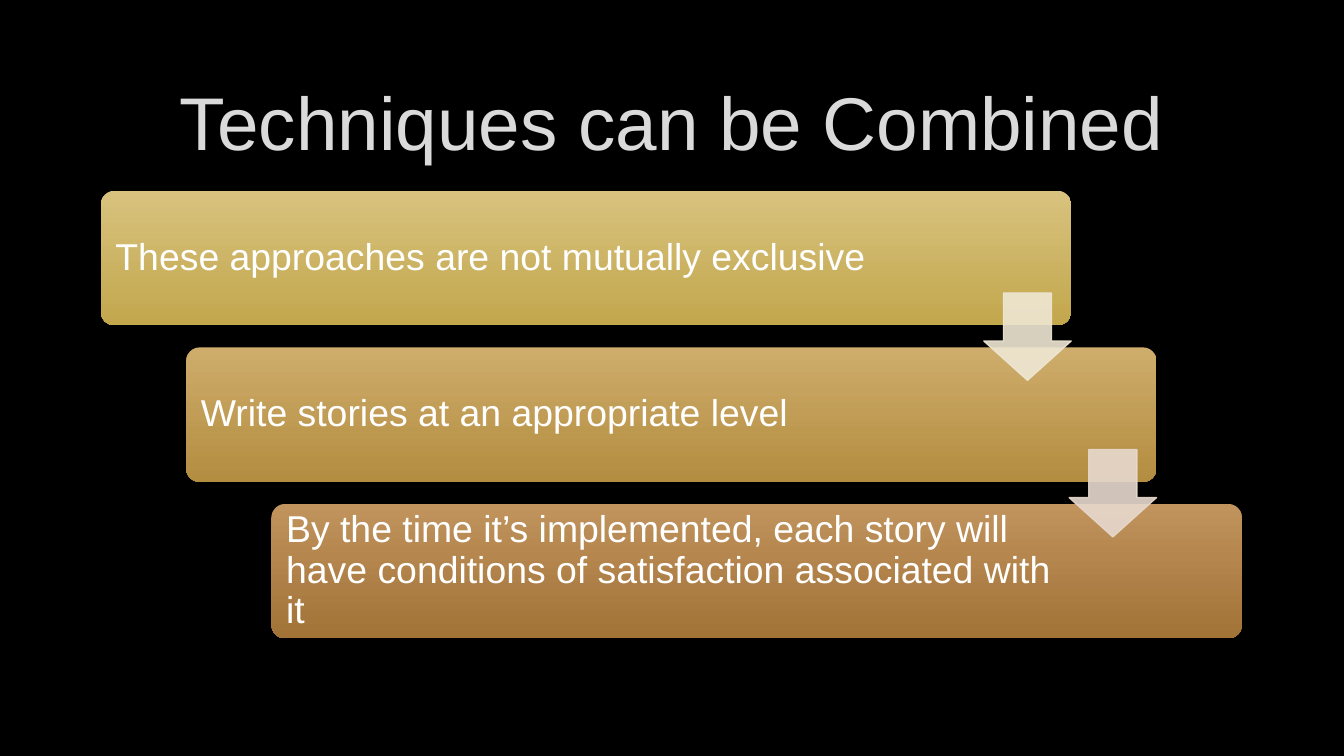
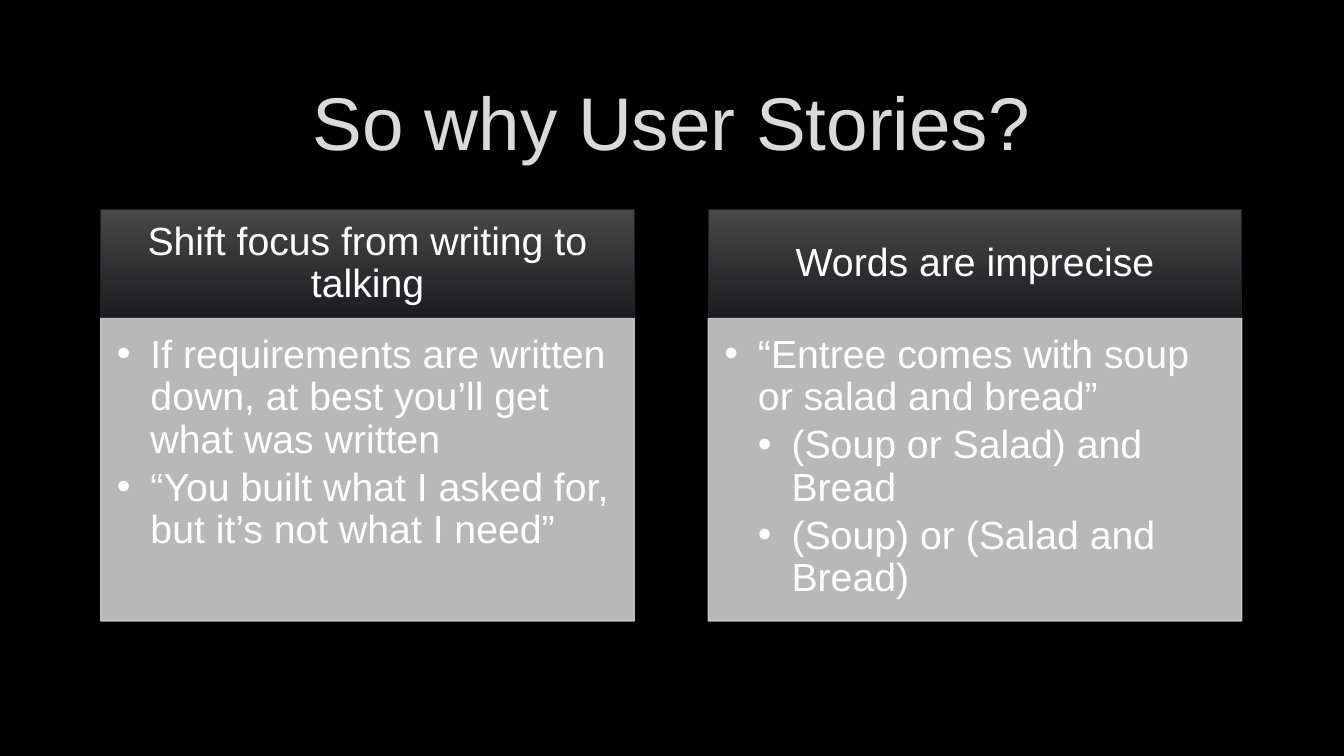
import pptx
import pptx.util
import pptx.dml.color
import pptx.enum.shapes
import pptx.enum.text
import pptx.oxml.ns
from lxml import etree

Inches = pptx.util.Inches
Pt = pptx.util.Pt
Shape = pptx.enum.shapes.MSO_SHAPE
Align = pptx.enum.text.PP_ALIGN
Anchor = pptx.enum.text.MSO_ANCHOR
qn = pptx.oxml.ns.qn

FONT = "Arial"
WHITE = "FFFFFF"
BLACK = "000000"
SILVER = "DADADA"
WIDTH = 10
HEIGHT = WIDTH * 9 / 16
TITLE = (0.75, 0.5, 8.49, 0.8)

STEPS = [
    ("These approaches are not mutually exclusive", ("D8C27E", "C2A74D")),
    ("Write stories at an appropriate level", ("CEAC6B", "B38D40")),
    ("By the time it’s implemented, each story will have conditions of "
     "satisfaction associated with it", ("C1935D", "A17337")),
]
ARROWS = ["EFE7D4", "E7D9CE"]

PANELS = [
    ("Shift focus from writing to talking", [
        (1, "If requirements are written down, at best you’ll get what was written"),
        (1, "“You built what I asked for, but it’s not what I need”"),
    ]),
    ("Words are imprecise", [
        (1, "“Entree comes with soup or salad and bread”"),
        (2, "(Soup or Salad) and Bread"),
        (2, "(Soup) or (Salad and Bread)"),
    ]),
]


def color(value):
    return pptx.dml.color.RGBColor.from_string(value)


def apply(target, values):
    for name, value in values.items():
        setattr(target, name, value)


def fade(fill, tone, alpha):
    fill.solid()
    fill.fore_color.rgb = color(tone)
    if alpha < 100:
        node = fill._xPr.find(qn("a:solidFill"))[0]
        etree.SubElement(node, qn("a:alpha")).set("val", str(alpha * 1000))


def draw(slide, kind, box, tones, edge=None, alpha=100, adjust=()):
    shape = slide.shapes.add_shape(kind, *map(Inches, box))
    shape.shadow.inherit = False
    for index, value in enumerate(adjust):
        shape.adjustments[index] = value
    if len(tones) == 2:
        shape.fill.gradient()
        shape.fill.gradient_angle = 270
        for stop, tone in zip(shape.fill.gradient_stops, tones):
            stop.color.rgb = color(tone)
    else:
        fade(shape.fill, tones[0], alpha)
    if edge:
        shape.line.width = Pt(0.75)
        fade(shape.line.fill, edge, alpha)
    else:
        shape.line.fill.background()
    return shape


def bullet(para, level):
    props = para._p.get_or_add_pPr()
    props.set("marL", str(Inches(0.25 * level)))
    props.set("indent", str(Inches(-0.25)))
    etree.SubElement(props, qn("a:buFont")).set("typeface", FONT)
    etree.SubElement(props, qn("a:buChar")).set("char", "•")


def write(shape, items, size, tone=WHITE, insets=(0.1, 0.05, 0.1, 0.05),
          anchor=Anchor.MIDDLE, align=Align.LEFT, spacing=0.9, after=0):
    frame = shape.text_frame
    sides = ("margin_left", "margin_top", "margin_right", "margin_bottom")
    apply(frame, dict(zip(sides, map(Inches, insets))))
    apply(frame, {"word_wrap": True, "vertical_anchor": anchor})
    for index, (level, text) in enumerate(items):
        para = frame.add_paragraph() if index else frame.paragraphs[0]
        if level:
            bullet(para, level)
        apply(para, {"text": text, "alignment": align,
                     "line_spacing": spacing, "space_after": Pt(after)})
        for font in (para.font, para.runs[0].font):
            apply(font, {"name": FONT, "size": Pt(size)})
            font.color.rgb = color(tone)


def start(deck, title):
    slide = deck.slides.add_slide(deck.slide_layouts[6])
    slide.background.fill.solid()
    slide.background.fill.fore_color.rgb = color(BLACK)
    box = slide.shapes.add_textbox(*map(Inches, TITLE))
    write(box, [(0, title)], 40, SILVER, align=Align.CENTER, spacing=1.0)
    return slide


def stairs(slide, box):
    left, top, width, height = box
    wide, high, side = 7.22, 1, 0.65
    across = (width - wide) / (len(STEPS) - 1)
    down = (height - high) / (len(STEPS) - 1)
    for index, (text, tones) in enumerate(STEPS):
        place = (left + index * across, top + index * down, wide, high)
        step = draw(slide, Shape.ROUNDED_RECTANGLE, place, tones, adjust=[0.1])
        write(step, [(0, text)], 20, insets=(0.08, 0.08, 1.37, 0.08))
    for index, tone in enumerate(ARROWS):
        place = (left + index * across + wide - side,
                 top + index * down + 0.76, side, side)
        draw(slide, Shape.DOWN_ARROW, place, [tone], tone, 90, [0.55, 0.45])


def panel(slide, box, head, items):
    left, top, width, height = box
    cap = 0.81
    band = draw(slide, Shape.RECTANGLE, (left, top, width, cap),
                ("474748", "1C1C1E"), "212123")
    write(band, [(0, head)], 21, insets=(0.16, 0.09, 0.16, 0.09),
          align=Align.CENTER)
    body = draw(slide, Shape.RECTANGLE, (left, top + cap, width, height - cap),
                ["CDCDCD"], "CDCDCD", 90)
    write(body, items, 21, insets=(0.12, 0.12, 0.16, 0.18),
          anchor=Anchor.TOP, after=3)


def columns(slide, box):
    left, top, width, height = box
    wide = 3.97
    pitch = (width - wide) / (len(PANELS) - 1)
    for index, (head, items) in enumerate(PANELS):
        panel(slide, (left + index * pitch, top, wide, height), head, items)


def main():
    deck = pptx.Presentation()
    apply(deck, {"slide_width": Inches(WIDTH), "slide_height": Inches(HEIGHT)})
    stairs(start(deck, "Techniques can be Combined"), (0.75, 1.42, 8.49, 3.33))
    columns(start(deck, "So why User Stories?"), (0.75, 1.56, 8.49, 3.06))
    deck.save("out.pptx")


if __name__ == "__main__":
    main()
